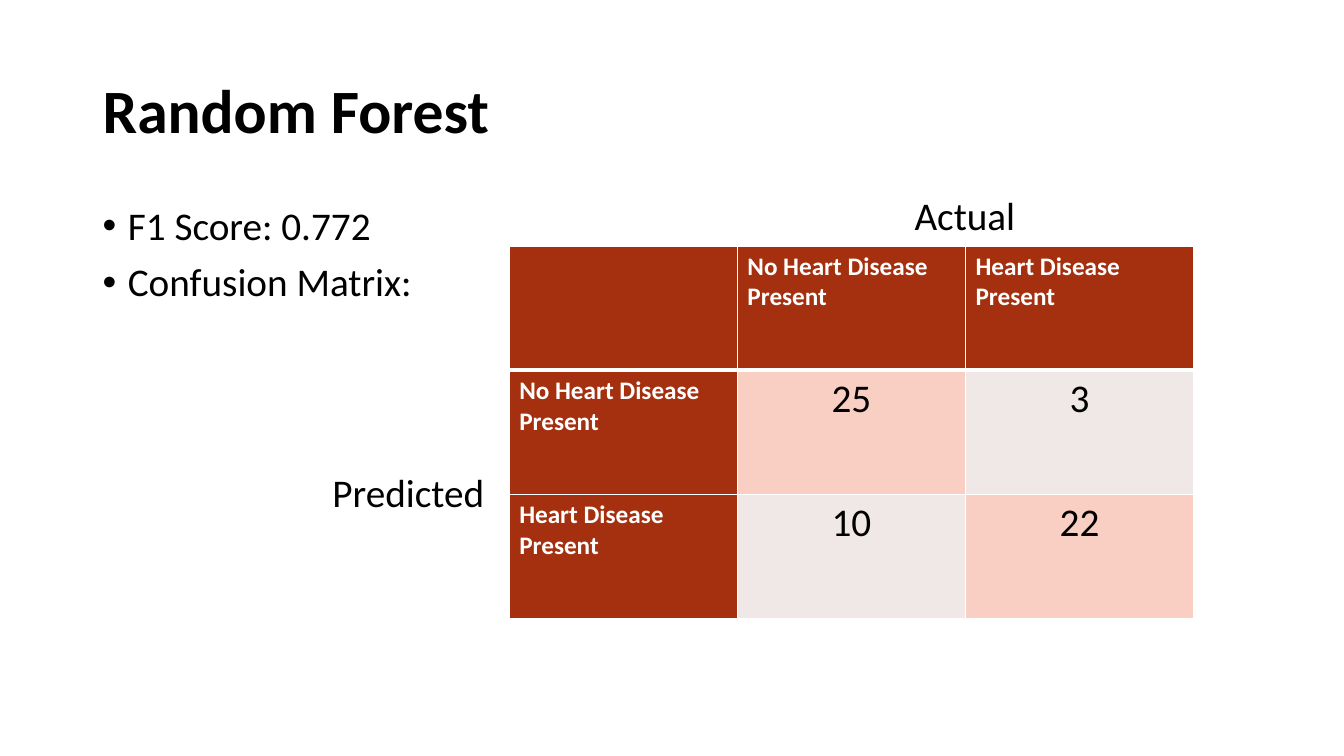
from lxml.etree import SubElement
from pptx import Presentation
from pptx.dml.color import RGBColor
from pptx.enum.text import MSO_ANCHOR, PP_ALIGN
from pptx.oxml.ns import qn
from pptx.util import Inches, Pt

COLORS = {
    "text": "000000",
    "white": "FFFFFF",
    "header": "A5300F",
    "correct": "F9CFC3",
    "wrong": "F0E8E7",
}


def style_paragraph(paragraph, size, color="text", bold=False, align=PP_ALIGN.LEFT):
    paragraph.alignment = align
    for run in paragraph.runs:
        run.font.name = "Calibri"
        run.font.size = Pt(size)
        run.font.bold = bold
        run.font.color.rgb = RGBColor.from_string(COLORS[color])


def add_text(left, top, width, height, text, size, **style):
    text_frame = slide.shapes.add_textbox(
        Inches(left), Inches(top), Inches(width), Inches(height)
    ).text_frame
    text_frame.word_wrap = True
    text_frame.text = text
    for paragraph in text_frame.paragraphs:
        style_paragraph(paragraph, size, **style)
    return text_frame


presentation = Presentation()
presentation.slide_width = Inches(13.33)
presentation.slide_height = Inches(7.5)
slide = presentation.slides.add_slide(presentation.slide_layouts[6])

title = add_text(0.92, 0.4, 11.5, 1.45, "Random Forest", 44, bold=True)
title.vertical_anchor = MSO_ANCHOR.MIDDLE
title.paragraphs[0].line_spacing = 0.9

summary = add_text(0.92, 2, 5.67, 4.76, "F1 Score: 0.772\nConfusion Matrix:", 28)
for paragraph in summary.paragraphs:
    paragraph.line_spacing = 0.9
    paragraph.space_before = Pt(10)
    properties = paragraph._p.get_or_add_pPr()
    properties.set("marL", str(Inches(0.25)))
    properties.set("indent", str(-Inches(0.25)))
    SubElement(properties, qn("a:buFont"), typeface="Arial")
    SubElement(properties, qn("a:buChar"), char="•")

classes = ["No Heart Disease Present", "Heart Disease Present"]
matrix_rows = [
    ["", *classes],
    [classes[0], "25", "3"],
    [classes[1], "10", "22"],
]
matrix = slide.shapes.add_table(
    3, 3, Inches(5.05), Inches(2.44), Inches(6.79), Inches(3.7)
).table
for column in matrix.columns:
    column.width = Inches(6.79 / 3)
for row in matrix.rows:
    row.height = Inches(3.7 / 3)

for row_index, values in enumerate(matrix_rows):
    for column_index, value in enumerate(values):
        cell = matrix.cell(row_index, column_index)
        cell.text = value
        paragraph = cell.text_frame.paragraphs[0]
        if row_index == 0 or column_index == 0:
            fill = "header"
            style_paragraph(paragraph, 18, color="white", bold=True)
        else:
            fill = "correct" if row_index == column_index else "wrong"
            style_paragraph(paragraph, 28, align=PP_ALIGN.CENTER)
        borders = {"lnL": 1, "lnR": 1, "lnT": 1, "lnB": 1}
        if row_index == 0:
            borders["lnB"] = 3
        elif row_index == 1:
            borders["lnT"] = 3
        cell_properties = cell._tc.get_or_add_tcPr()
        for side, width in borders.items():
            line = SubElement(cell_properties, qn(f"a:{side}"), w=str(Pt(width)))
            line_fill = SubElement(line, qn("a:solidFill"))
            SubElement(line_fill, qn("a:srgbClr"), val=COLORS["white"])
        cell.fill.solid()
        cell.fill.fore_color.rgb = RGBColor.from_string(COLORS[fill])

for left, top, label in [(8.57, 1.85, "Actual"), (3.05, 4.6, "Predicted")]:
    add_text(left, top, 2, 0.57, label, 28, align=PP_ALIGN.CENTER)

presentation.save("out.pptx")
